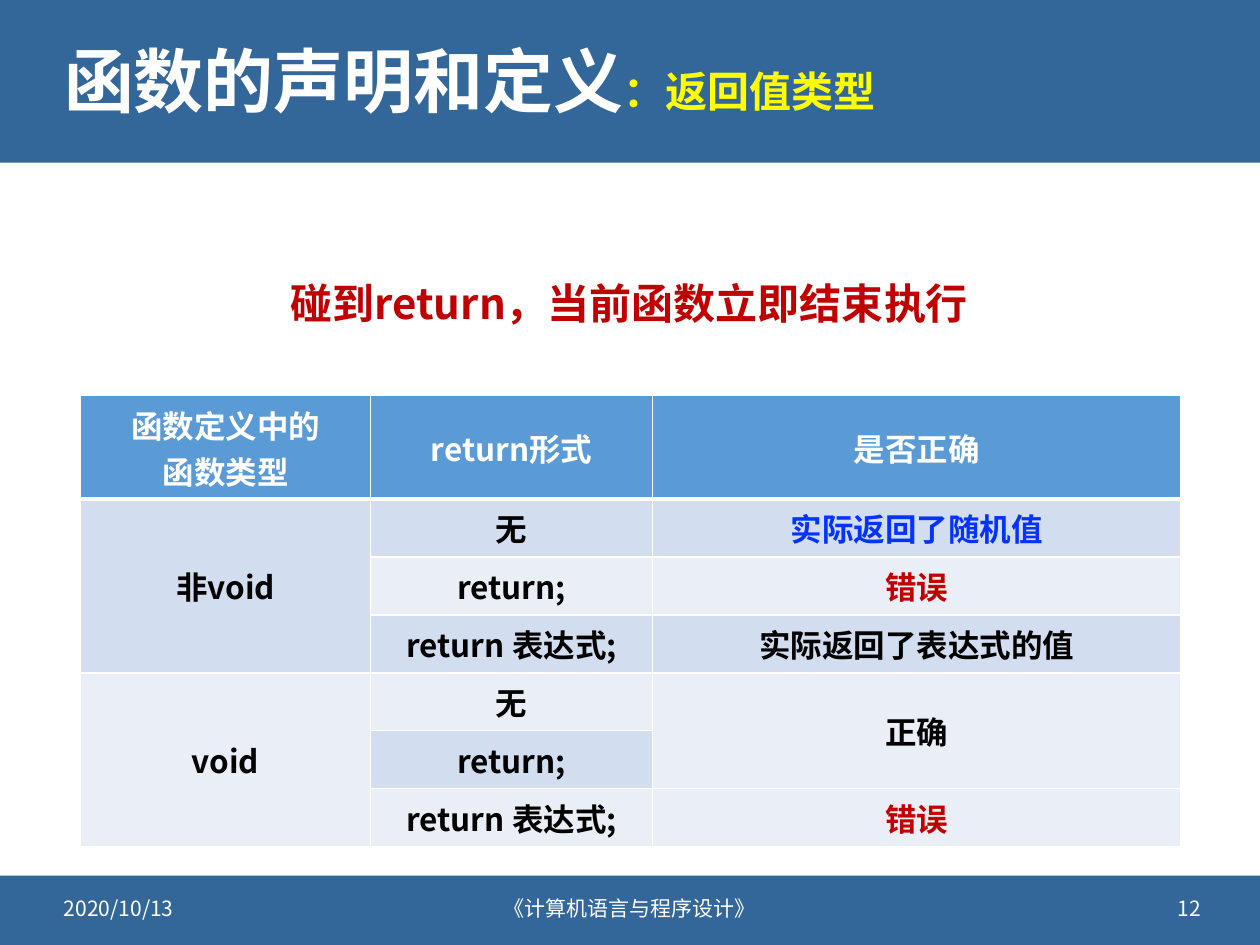
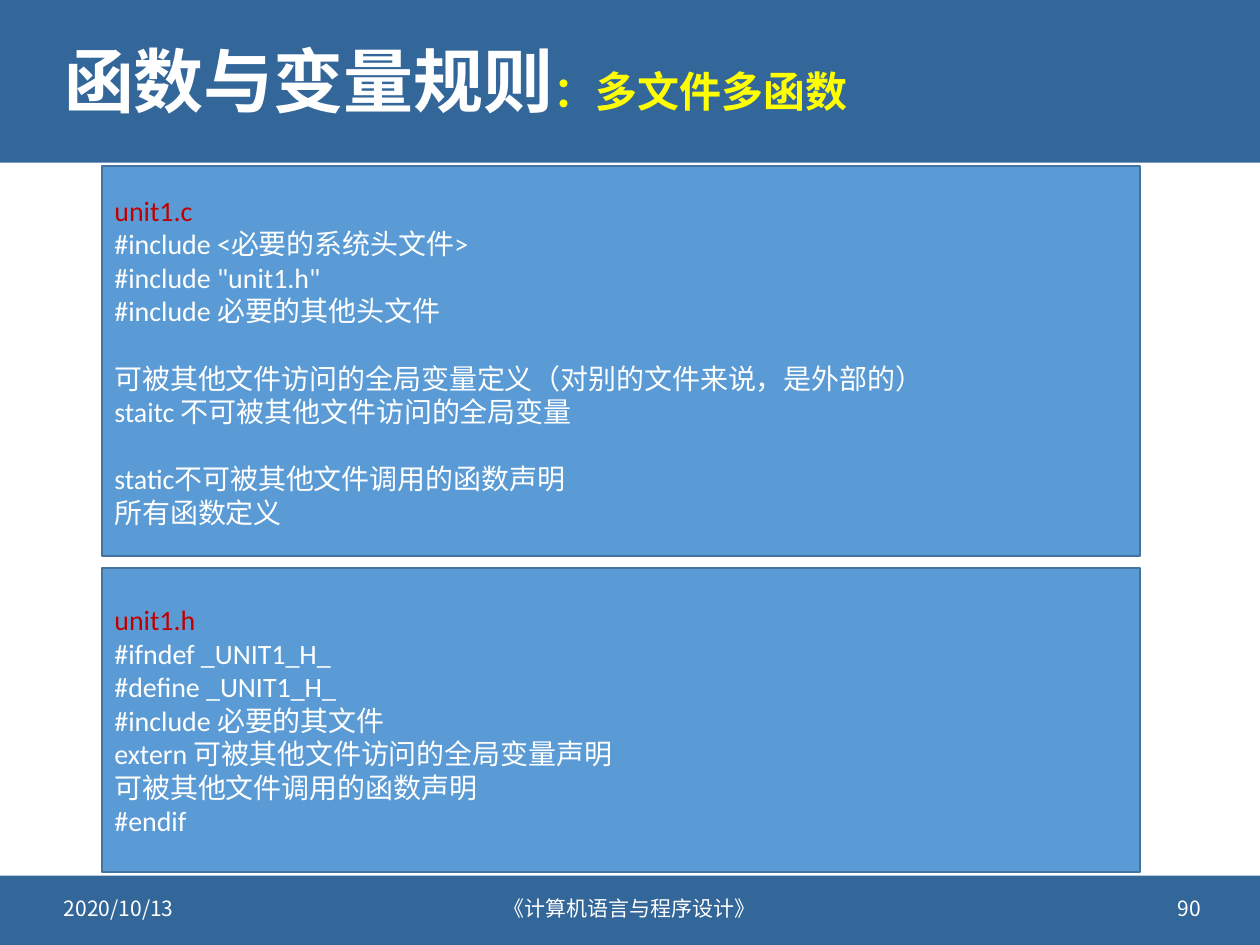
"""Build two lecture slides on C functions: return types and multi-file rules."""
from lxml import etree
from pptx import Presentation
from pptx import util as u
from pptx.dml.color import RGBColor
from pptx.enum import shapes, text
from pptx.oxml import ns

C = {"band": "336699", "white": "FFFFFF", "yellow": "FFFF00", "red": "C00000",
     "blue": "0432FF", "black": "000000", "box": "5B9BD5", "edge": "43739E",
     "odd": "D2DEEF", "even": "EAEFF7"}
SANS, CODE = "Noto Sans CJK SC", "Calibri"
LEFT, CENTER, RIGHT = text.PP_ALIGN.LEFT, text.PP_ALIGN.CENTER, text.PP_ALIGN.RIGHT


def set_font(font, size, color, bold=False, name=SANS):
    font.size, font.bold, font.name = u.Pt(size), bold, name
    font.color.rgb = RGBColor.from_string(C[color])


def add_box(s, at, fill=None, line=None, anchor=text.MSO_ANCHOR.MIDDLE):
    at = [u.Inches(v) for v in at]
    if fill:
        sp = s.shapes.add_shape(shapes.MSO_SHAPE.RECTANGLE, *at)
        sp.shadow.inherit = False
        sp.fill.solid()
        sp.fill.fore_color.rgb = RGBColor.from_string(C[fill])
        if line:
            sp.line.color.rgb = RGBColor.from_string(C[line])
            sp.line.width = u.Pt(1)
        else:
            sp.line.fill.background()
    else:
        sp = s.shapes.add_textbox(*at)
    tf = sp.text_frame
    tf.word_wrap, tf.vertical_anchor = True, anchor
    return tf


prs = Presentation()
prs.slide_width, prs.slide_height = u.Inches(10), u.Inches(7.5)

slides = []
for title, topic, number in [("函数的声明和定义", "：返回值类型", "12"),
                             ("函数与变量规则", "：多文件多函数", "90")]:
    s = prs.slides.add_slide(prs.slide_layouts[6])
    slides.append(s)
    add_box(s, (0, 0, 10, 1.29), "band")
    add_box(s, (0, 6.95, 10, 0.55), "band")
    p = add_box(s, (0.41, 0.18, 9.19, 0.99)).paragraphs[0]
    p.line_spacing = 0.9
    for words, size, color in [(title, 40, "white"), (topic, 24, "yellow")]:
        r = p.add_run()
        r.text = words
        set_font(r.font, size, color, True)
    for words, x, w, align in [("2020/10/13", 0.41, 2.4, LEFT),
                               ("《计算机语言与程序设计》", 3.2, 3.6, CENTER),
                               (number, 7.23, 2.4, RIGHT)]:
        p = add_box(s, (x, 7.01, w, 0.4)).paragraphs[0]
        p.text, p.alignment = words, align
        set_font(p.font, 12, "white")

s = slides[0]
rows = [["函数定义中的\n函数类型", "return形式", "是否正确"],
        ["非void", "无", "实际返回了随机值"],
        ["", "return;", "错误"],
        ["", "return 表达式;", "实际返回了表达式的值"],
        ["void", "无", "正确"],
        ["", "return;", ""],
        ["", "return 表达式;", "错误"]]
verdict_colors = {"实际返回了随机值": "blue", "错误": "red"}
table = s.shapes.add_table(len(rows), 3, u.Inches(0.64), u.Inches(3.14),
                           u.Inches(8.73), u.Inches(3.58)).table
for col, width in zip(table.columns, (2.3, 2.24, 4.19)):
    col.width = u.Inches(width)
for i, row in enumerate(rows):
    table.rows[i].height = u.Inches(0.46 if i else 0.82)
    for j, words in enumerate(row):
        cell = table.cell(i, j)
        cell.vertical_anchor = text.MSO_ANCHOR.MIDDLE
        tcPr = cell._tc.get_or_add_tcPr()
        for side in "LRTB":
            thick = (i, side) in [(0, "B"), (1, "T")]
            ln = etree.SubElement(tcPr, ns.qn(f"a:ln{side}"), w=str(u.Pt(3 if thick else 1)))
            fill = etree.SubElement(ln, ns.qn("a:solidFill"))
            etree.SubElement(fill, ns.qn("a:srgbClr"), val=C["white"])
        cell.fill.solid()
        band = "odd" if i % 2 else "even"
        cell.fill.fore_color.rgb = RGBColor.from_string(C[band if i else "box"])
        if words:
            cell.text = words
            for p in cell.text_frame.paragraphs:
                p.alignment = CENTER
                color = verdict_colors.get(words, "black") if i else "white"
                set_font(p.font, 18, color, True)
for top, bottom, j in [(1, 3, 0), (4, 6, 0), (4, 5, 2)]:
    table.cell(top, j).merge(table.cell(bottom, j))

p = add_box(s, (2.18, 2.15, 5.63, 0.5), anchor=text.MSO_ANCHOR.TOP).paragraphs[0]
p.text, p.alignment = "碰到return，当前函数立即结束执行", CENTER
set_font(p.font, 24, "red", True)

s = slides[1]
source_groups = [["unit1.c", "#include <必要的系统头文件>", '#include "unit1.h"',
                  "#include 必要的其他头文件"],
                 ["可被其他文件访问的全局变量定义（对别的文件来说，是外部的）",
                  "staitc 不可被其他文件访问的全局变量"],
                 ["static不可被其他文件调用的函数声明", "所有函数定义"]]
header_groups = [["unit1.h", "#ifndef _UNIT1_H_", "#define _UNIT1_H_",
                  "#include 必要的其文件", "extern 可被其他文件访问的全局变量声明",
                  "可被其他文件调用的函数声明", "#endif"]]
for y, h, groups in [(1.32, 3.09, source_groups), (4.51, 2.41, header_groups)]:
    tf = add_box(s, (0.81, y, 8.24, h), "box", "edge")
    tf.text = "\n".join(line for group in groups for line in group)
    openers = [group[0] for group in groups[1:]]
    for k, p in enumerate(tf.paragraphs):
        p.alignment = LEFT
        if p.text in openers:
            p.space_before = u.Pt(19.2)
        set_font(p.font, 16, "white" if k else "red", name=CODE)

prs.save("out.pptx")
